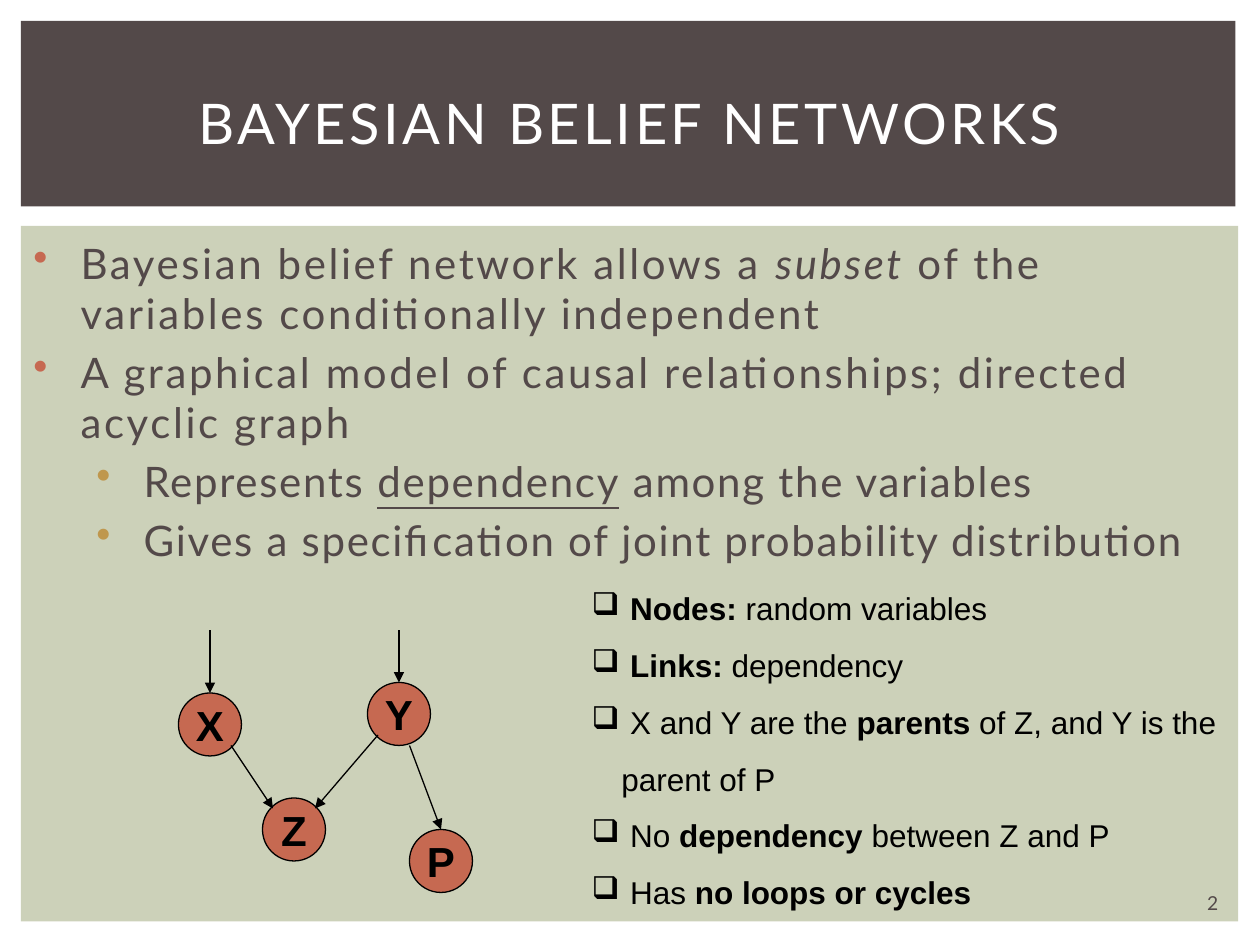
"""Build the slide that introduces Bayesian belief networks."""
import dataclasses

import lxml.etree
import pptx
import pptx.dml.color
import pptx.enum.shapes
import pptx.enum.text
import pptx.oxml.ns
import pptx.util

Pt = pptx.util.Pt
SHAPES = pptx.enum.shapes.MSO_SHAPE
ALIGN = pptx.enum.text.PP_ALIGN
ANCHOR = pptx.enum.text.MSO_ANCHOR
AUTO_SIZE = pptx.enum.text.MSO_AUTO_SIZE


@dataclasses.dataclass(frozen=True)
class Theme:
    """Colours, fonts and type sizes of the slide."""
    dark: str = "534949"
    panel: str = "CCD1B9"
    accent: str = "C66951"
    gold: str = "BF974D"
    black: str = "000000"
    white: str = "FFFFFF"
    heading_font: str = "Lato"
    label_font: str = "Arial"
    title_size: int = 32
    body_size: int = 24
    legend_size: int = 18
    number_size: int = 11


THEME = Theme()
BOLD, ITALIC, UNDERLINE = {"bold": True}, {"italic": True}, {"underline": True}
CENTERED = {"alignment": ALIGN.CENTER}
BODY = {"space_before": Pt(4.8)}
LEGEND = {"line_spacing": 1.5}
NODE_SIZE = 36

POINTS = [
    (0, [("Bayesian belief network allows a ", {}), ("subset", ITALIC),
         (" of the variables conditionally independent", {})]),
    (0, [("A graphical model of causal relationships; directed acyclic graph", {})]),
    (1, [("Represents ", {}), ("dependency", UNDERLINE), (" among the variables", {})]),
    (1, [("Gives a specification of joint probability distribution", {})]),
]
LEVELS = [
    {"left": 27, "hanging": 27, "color": THEME.accent, "spacing": 1.5},
    {"left": 63, "hanging": 27, "color": THEME.gold, "spacing": 1},
]
NOTES = [
    [(" ", {}), ("Nodes:", BOLD), (" random variables", {})],
    [(" ", {}), ("Links:", BOLD), (" dependency", {})],
    [(" X and Y are the ", {}), ("parents", BOLD), (" of Z, and Y is the parent of P", {})],
    [(" No ", {}), ("dependency", BOLD), (" between Z and P", {})],
    [(" Has ", {}), ("no loops or cycles", BOLD)],
]
NODES = {"X": (102, 396), "Y": (210, 390), "Z": (150, 456), "P": (234, 474)}
LINKS = [
    (132, 426, 156, 462),
    (216, 420, 180, 462),
    (234, 426, 252, 474),
    (120, 360, 120, 396),
    (228, 360, 228, 390),
]


def rgb(value):
    """Turn a hex string into a colour."""
    return pptx.dml.color.RGBColor.from_string(value)


def apply(target, values):
    """Set every attribute named in a dict of format values."""
    for name, value in values.items():
        setattr(target, name, value)


def add_xml(parent, tag, **attributes):
    """Append a DrawingML element to a parent."""
    return lxml.etree.SubElement(parent, pptx.oxml.ns.qn(f"a:{tag}"), attributes)


def write(paragraph, runs, font, size, color, spacing=0, layout=None):
    """Fill a paragraph with formatted runs."""
    apply(paragraph, layout or {})
    for text, emphasis in runs:
        run = paragraph.add_run()
        run.text = text
        apply(run.font, {"name": font, "size": Pt(size), **emphasis})
        run.font.color.rgb = rgb(color)
        if spacing:
            run.font._element.set("spc", str(int(spacing * 100)))


def add_bullet(paragraph, mark, left, hanging, color):
    """Give a paragraph a coloured bullet and a hanging indent."""
    properties = paragraph._p.get_or_add_pPr()
    properties.set("marL", str(Pt(left)))
    properties.set("indent", str(-Pt(hanging)))
    add_xml(add_xml(properties, "buClr"), "srgbClr", val=color)
    add_xml(properties, "buChar", char=mark)


def add_text_frame(slide, box, **frame_format):
    """Add a wrapping text box and return its frame."""
    frame = slide.shapes.add_textbox(*map(Pt, box)).text_frame
    apply(frame, {"word_wrap": True, **frame_format})
    return frame


def paragraphs(frame, items):
    """Pair each item with its own paragraph of the frame."""
    for index, item in enumerate(items):
        yield (frame.add_paragraph() if index else frame.paragraphs[0]), item


def add_filled(slide, kind, box, color):
    """Add a flat filled shape without an outline."""
    shape = slide.shapes.add_shape(kind, *map(Pt, box))
    shape.shadow.inherit = False
    shape.fill.solid()
    shape.fill.fore_color.rgb = rgb(color)
    shape.line.fill.background()
    return shape


def draw_line(line):
    """Format a line as a thin black stroke."""
    line.color.rgb = rgb(THEME.black)
    line.width = Pt(0.75)


def add_title(slide, text):
    """Place the title in front of its band."""
    title = slide.shapes.title
    title.element.getparent().append(title.element)
    apply(title, {"left": Pt(30), "top": Pt(28), "width": Pt(660), "height": Pt(83)})
    frame = title.text_frame
    apply(frame, {"vertical_anchor": ANCHOR.MIDDLE, "auto_size": AUTO_SIZE.NONE})
    write(frame.paragraphs[0], [(text, {})], THEME.heading_font, THEME.title_size,
          THEME.white, 2, CENTERED)


def add_points(slide):
    """Add the two-level bullet list."""
    frame = add_text_frame(slide, (12, 132, 695, 396))
    for paragraph, (level, runs) in paragraphs(frame, POINTS):
        style = LEVELS[level]
        write(paragraph, runs, THEME.heading_font, THEME.body_size, THEME.dark,
              style["spacing"], {"level": level, **BODY})
        add_bullet(paragraph, "•", style["left"], style["hanging"], style["color"])


def add_notes_list(slide):
    """Add the list that explains the graph."""
    frame = add_text_frame(slide, (331, 322.5, 377, 204), auto_size=AUTO_SIZE.SHAPE_TO_FIT_TEXT)
    for paragraph, runs in paragraphs(frame, NOTES):
        write(paragraph, runs, THEME.label_font, THEME.legend_size, THEME.black, layout=LEGEND)
        add_bullet(paragraph, "❑", 17, 17, THEME.black)


def add_node(slide, name, left, top):
    """Add one labelled graph node."""
    node = add_filled(slide, SHAPES.FLOWCHART_CONNECTOR, (left, top, NODE_SIZE, NODE_SIZE),
                      THEME.accent)
    draw_line(node.line)
    apply(node.text_frame, {"word_wrap": False, "vertical_anchor": ANCHOR.MIDDLE})
    write(node.text_frame.paragraphs[0], [(name, BOLD)], THEME.label_font,
          THEME.body_size, THEME.black, layout=CENTERED)


def add_link(slide, ends):
    """Add one arrow of the graph."""
    straight = pptx.enum.shapes.MSO_CONNECTOR.STRAIGHT
    link = slide.shapes.add_connector(straight, *map(Pt, ends))
    draw_line(link.line)
    add_xml(link.line._get_or_add_ln(), "tailEnd", type="triangle")
    add_xml(link.element.spPr, "effectLst")


def main():
    """Assemble and save the slide."""
    deck = pptx.Presentation()
    apply(deck, {"slide_width": Pt(720), "slide_height": Pt(540)})
    slide = deck.slides.add_slide(deck.slide_layouts[5])
    add_filled(slide, SHAPES.RECTANGLE, (12, 129, 695.5, 397.5), THEME.panel)
    add_filled(slide, SHAPES.RECTANGLE, (12, 12, 694, 106), THEME.dark)
    add_title(slide, "BAYESIAN BELIEF NETWORKS")
    add_points(slide)
    number = add_text_frame(slide, (654, 504, 78, 24), vertical_anchor=ANCHOR.MIDDLE)
    write(number.paragraphs[0], [("2", {})], THEME.heading_font, THEME.number_size,
          THEME.dark, layout=CENTERED)
    for name, corner in NODES.items():
        add_node(slide, name, *corner)
    for ends in LINKS:
        add_link(slide, ends)
    add_notes_list(slide)
    deck.save("out.pptx")


if __name__ == "__main__":
    main()
